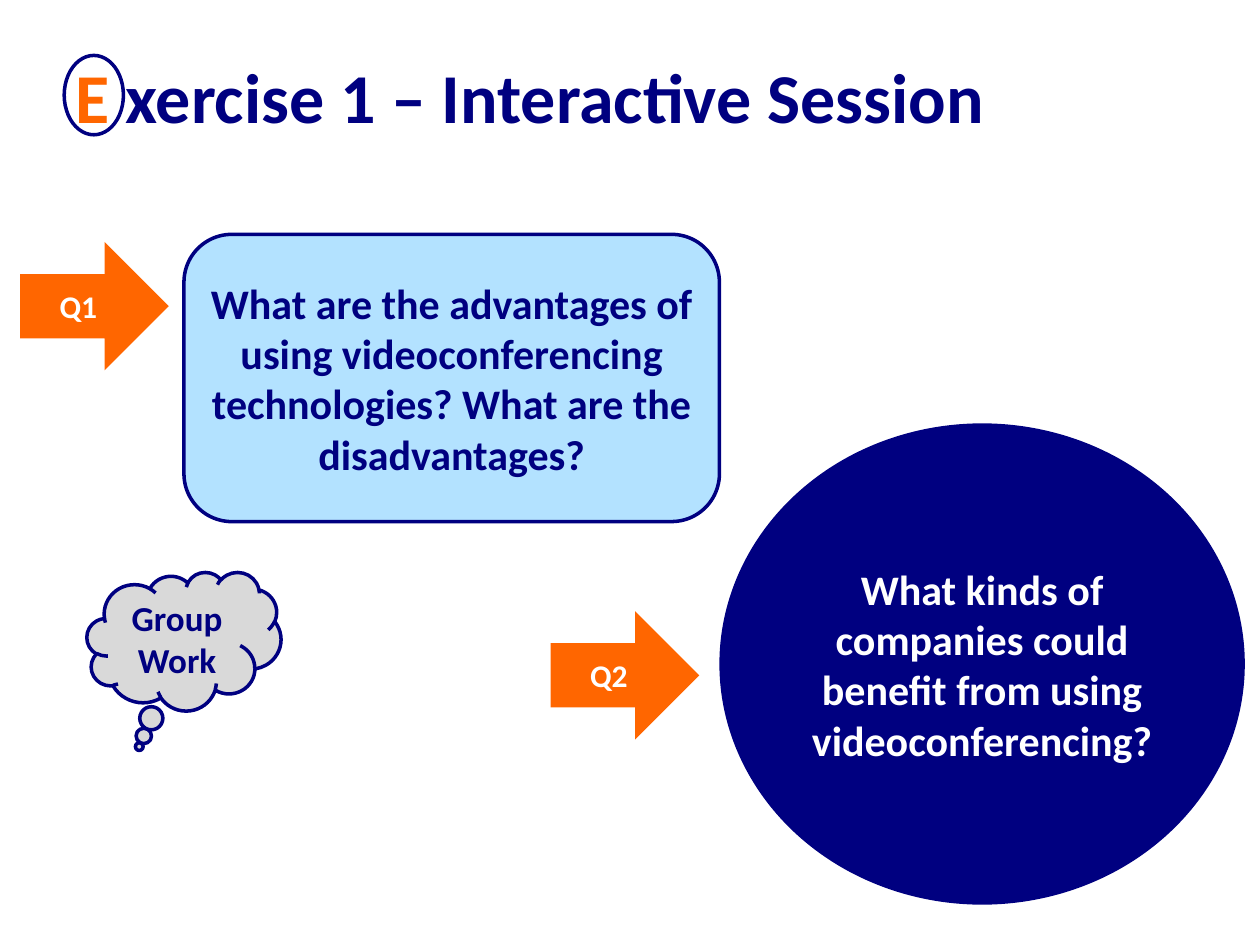
from pptx import Presentation
from pptx.dml.color import RGBColor
from pptx.enum.shapes import MSO_SHAPE
from pptx.enum.text import MSO_ANCHOR, PP_ALIGN
from pptx.util import Inches, Pt

LEFT, CENTER = PP_ALIGN.LEFT, PP_ALIGN.CENTER
MIDDLE = MSO_ANCHOR.MIDDLE
OVAL, ARROW = MSO_SHAPE.OVAL, MSO_SHAPE.RIGHT_ARROW
PANEL, CLOUD = MSO_SHAPE.FLOWCHART_ALTERNATE_PROCESS, MSO_SHAPE.CLOUD_CALLOUT
HEX = {"navy": "000080", "orange": "FF6600", "sky": "B3E2FF",
       "grey": "D9D9D9", "white": "FFFFFF"}


def write(shape, *runs, size=24, color="navy", align=CENTER):
    """Fill a shape with bold runs; a run is text or a (text, color) pair."""
    frame = shape.text_frame
    frame.word_wrap = True
    frame.vertical_anchor = MIDDLE
    para = frame.paragraphs[0]
    para.alignment = align
    for item in runs:
        text, tone = (item, color) if isinstance(item, str) else item
        run = para.add_run()
        run.text = text
        run.font.name = "Calibri"
        run.font.size = Pt(size)
        run.font.bold = True
        run.font.color.rgb = RGBColor.from_string(HEX[tone])


def draw(kind, left, top, width, height, fill=None, line=None):
    shape = slide.shapes.add_shape(
        kind, Inches(left), Inches(top), Inches(width), Inches(height))
    shape.shadow.inherit = False
    if fill:
        shape.fill.solid()
        shape.fill.fore_color.rgb = RGBColor.from_string(HEX[fill])
    else:
        shape.fill.background()
    if line:
        shape.line.color.rgb = RGBColor.from_string(HEX[line])
        shape.line.width = Pt(2)
    else:
        shape.line.fill.background()
    return shape


deck = Presentation()
deck.slide_width, deck.slide_height = Inches(10), Inches(7.5)
slide = deck.slides.add_slide(deck.slide_layouts[5])

# Title with its first letter ringed
title = slide.shapes.title
title.left, title.top = Inches(0.5), Inches(0.13)
title.width, title.height = Inches(9), Inches(1.25)
write(title, ("E ", "orange"), "xercise 1 – Interactive Session",
      size=40, align=LEFT)
draw(OVAL, 0.51, 0.44, 0.47, 0.63, line="navy")

# Questions
panel = draw(PANEL, 1.46, 1.86, 4.25, 2.28, fill="sky", line="navy")
write(panel, "What are the advantages of using videoconferencing "
      "technologies? What are the disadvantages?")
disc = draw(OVAL, 5.71, 3.36, 4.17, 3.82, fill="navy")
write(disc, "What kinds of companies could benefit from using "
      "videoconferencing? ", color="white")

# Arrows that number the questions
for label, left, top in (("Q1", 0.16, 1.92), ("Q2", 4.37, 4.85)):
    arrow = draw(ARROW, left, top, 1.18, 1.02, fill="orange")
    write(arrow, label, size=18, color="white")

# Group work bubble
cloud = draw(CLOUD, 0.69, 4.54, 1.54, 1.1, fill="grey", line="navy")
cloud.adjustments[0], cloud.adjustments[1] = -0.23, 0.76
write(cloud, "Group Work", size=20)

deck.save("out.pptx")
